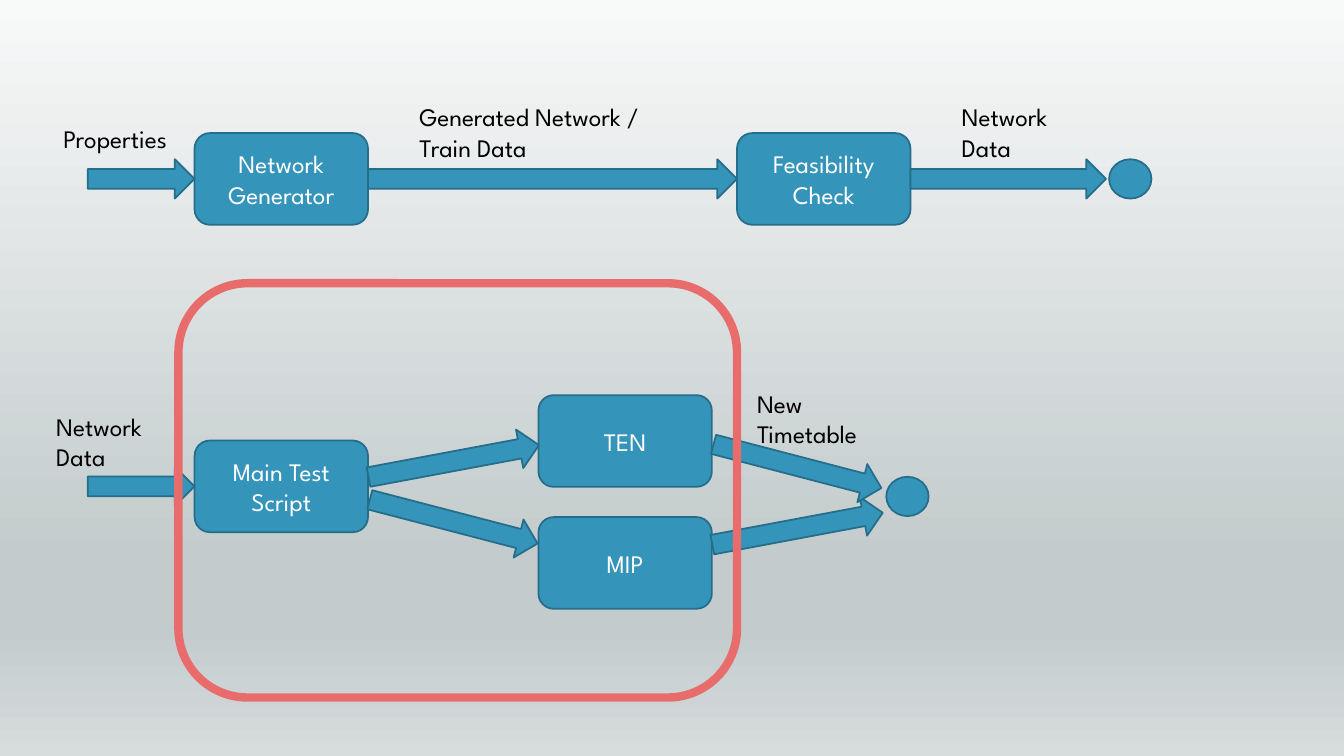
from copy import deepcopy

from pptx import Presentation
from pptx.dml.color import RGBColor
from pptx.enum.shapes import MSO_SHAPE
from pptx.enum.text import MSO_ANCHOR, MSO_AUTO_SIZE, PP_ALIGN
from pptx.oxml.ns import qn
from pptx.util import Emu, Pt

PX = 9144  # 100 px to the inch
FONT = "League Spartan"
BLUE, DARK_BLUE, RED = "3494BA", "266D8A", "E96C6C"
BOX_WIDTH, BOX_HEIGHT = 172, 91
ARROW_HEIGHT = 39
DOT_WIDTH = 42
UP, DOWN = -10.6, 14.6

BACKGROUND = [(0, "F8F9F9"), (0.74, "C3CBCC"), (0.83, "C3CBCC"), (1, "D7DCDD")]
# left, top, lines
BOXES = [
    (193, 132, ["Network", "Generator"]),
    (731, 132, ["Feasibility", "Check"]),
    (193, 437, ["Main Test Script"]),
    (534, 392, ["TEN"]),
    (534, 513, ["MIP"]),
]
DOTS = [(1100, 158), (879, 473)]
# left, top, width, rotation
ARROWS = [
    (87, 158, 106, 0),
    (365, 158, 366, 0),
    (903, 158, 194, 0),
    (87, 463, 106, 0),
    (364, 438, 172, UP),
    (364, 498, 172, DOWN),
    (705, 505, 172, UP),
    (705, 443, 172, DOWN),
]
# left, top, width, height, text
LABELS = [
    (53, 117, 143, 40, "Properties"),
    (406, 96, 285, 71, "Generated Network / Train Data"),
    (944, 96, 151, 71, "Network Data"),
    (46, 403, 130, 71, "Network Data"),
    (741, 380, 151, 71, "New Timetable"),
]


def color(hex_string):
    return RGBColor.from_string(hex_string)


def px(*lengths):
    return [Emu(length * PX) for length in lengths]


def paint_background(slide):
    fill = slide.background.fill
    fill.gradient()
    fill.gradient_angle = 270
    stop_list = slide.element.find(".//" + qn("a:gsLst"))
    while len(stop_list) < len(BACKGROUND):
        stop_list.append(deepcopy(stop_list[-1]))
    for stop, (position, hex_string) in zip(fill.gradient_stops, BACKGROUND):
        stop.position = position
        stop.color.rgb = color(hex_string)


def add_figure(slide, kind, left, top, width, height,
               fill=BLUE, line=DARK_BLUE, line_width=1.25):
    """Add a preset shape; it stays hollow when fill is None."""
    shape = slide.shapes.add_shape(kind, *px(left, top, width, height))
    shape.shadow.inherit = False
    if fill:
        shape.fill.solid()
        shape.fill.fore_color.rgb = color(fill)
    else:
        shape.fill.background()
    shape.line.color.rgb = color(line)
    shape.line.width = Pt(line_width)
    return shape


def write(text_frame, lines, hex_string, alignment):
    text_frame.word_wrap = True
    text_frame.text = "\n".join(lines)
    for paragraph in text_frame.paragraphs:
        paragraph.alignment = alignment
        paragraph.font.name = FONT
        paragraph.font.size = Pt(18)
        paragraph.font.color.rgb = color(hex_string)


def add_box(slide, left, top, lines):
    box = add_figure(slide, MSO_SHAPE.ROUNDED_RECTANGLE, left, top, BOX_WIDTH, BOX_HEIGHT)
    box.text_frame.vertical_anchor = MSO_ANCHOR.MIDDLE
    write(box.text_frame, lines, "FFFFFF", PP_ALIGN.CENTER)


def add_dot(slide, left, top):
    add_figure(slide, MSO_SHAPE.FLOWCHART_CONNECTOR, left, top, DOT_WIDTH, ARROW_HEIGHT)


def add_arrow(slide, left, top, width, rotation):
    arrow = add_figure(slide, MSO_SHAPE.RIGHT_ARROW, left, top, width, ARROW_HEIGHT)
    arrow.rotation = rotation


def add_label(slide, left, top, width, height, text):
    label = slide.shapes.add_textbox(*px(left, top, width, height))
    label.text_frame.auto_size = MSO_AUTO_SIZE.SHAPE_TO_FIT_TEXT
    write(label.text_frame, [text], "000000", PP_ALIGN.LEFT)


def main():
    presentation = Presentation()
    presentation.slide_width, presentation.slide_height = px(1333, 750)
    slide = presentation.slides.add_slide(presentation.slide_layouts[6])
    paint_background(slide)
    for add, items in [(add_box, BOXES), (add_dot, DOTS),
                       (add_arrow, ARROWS), (add_label, LABELS)]:
        for item in items:
            add(slide, *item)
    add_figure(slide, MSO_SHAPE.ROUNDED_RECTANGLE, 177, 281, 554, 411,
               fill=None, line=RED, line_width=6)
    presentation.save("out.pptx")


if __name__ == "__main__":
    main()
